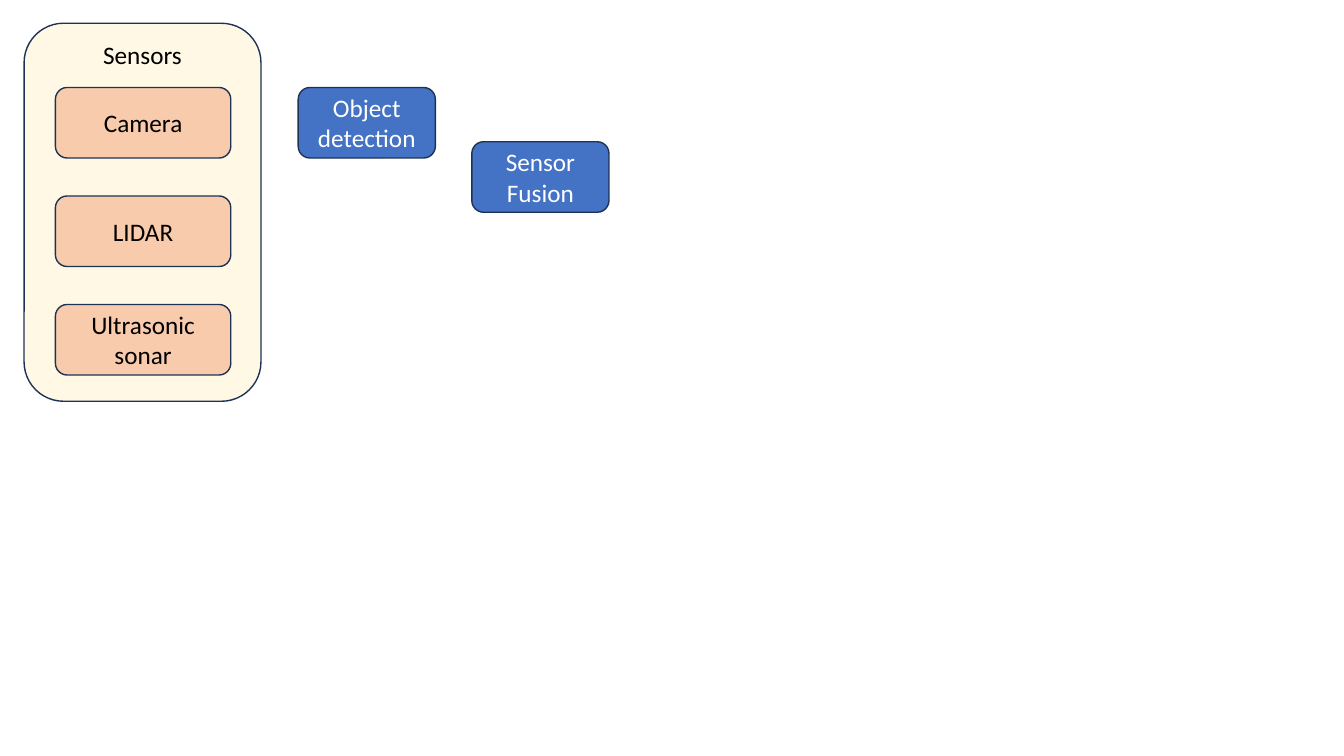
from pptx import Presentation
from pptx.dml.color import RGBColor as RGB
from pptx.enum.shapes import MSO_SHAPE as Shape
from pptx.enum.text import MSO_ANCHOR as Anchor, PP_ALIGN as Align
from pptx.oxml.xmlchemy import OxmlElement as Element
from pptx.util import Pt

TITLE = "Sensors"
SENSORS = ["Camera", "LIDAR", "Ultrasonic sonar"]
STEPS = ["Object detection", "Sensor Fusion"]
COLORS = {"panel": "FFE699", "sensor": "F8CBAD", "step": "4472C4",
          "line": "1E3256", "dark": "000000", "light": "FFFFFF"}

PANEL = (17.2, 16.6, 169.2, 270)
LEFT, TOP, PITCH = 39.6, 62.5, 77.5
WIDTH, HEIGHT = 125.3, 50.4
STEP_LEFT, STEP_WIDTH, STEP_PITCH = 213, 98, 124

deck = Presentation()
deck.slide_width, deck.slide_height = Pt(960), Pt(540)
slide = deck.slides.add_slide(deck.slide_layouts[6])


def add_box(text, area, fill, color="dark", anchor=Anchor.MIDDLE, alpha=None):
    box = slide.shapes.add_shape(Shape.ROUNDED_RECTANGLE, *map(Pt, area))
    box.shadow.inherit = False
    box.fill.solid()
    box.fill.fore_color.rgb = RGB.from_string(COLORS[fill])
    if alpha is not None:
        node = Element("a:alpha")
        node.set("val", str(alpha * 1000))
        box.fill._xPr.solidFill[0].append(node)
    box.line.color.rgb = RGB.from_string(COLORS["line"])
    box.line.width = Pt(1)
    frame = box.text_frame
    frame.word_wrap = True
    frame.vertical_anchor = anchor
    para = frame.paragraphs[0]
    para.alignment = Align.CENTER
    run = para.add_run()
    run.text = text
    run.font.name = "Calibri"
    run.font.size = Pt(18)
    run.font.color.rgb = RGB.from_string(COLORS[color])


add_box(TITLE, PANEL, "panel", anchor=Anchor.TOP, alpha=25)
for row, name in enumerate(SENSORS):
    add_box(name, (LEFT, TOP + row * PITCH, WIDTH, HEIGHT), "sensor")
for col, name in enumerate(STEPS):
    area = (STEP_LEFT + col * STEP_PITCH, TOP + col * PITCH / 2, STEP_WIDTH, HEIGHT)
    add_box(name, area, "step", color="light")

deck.save("out.pptx")
